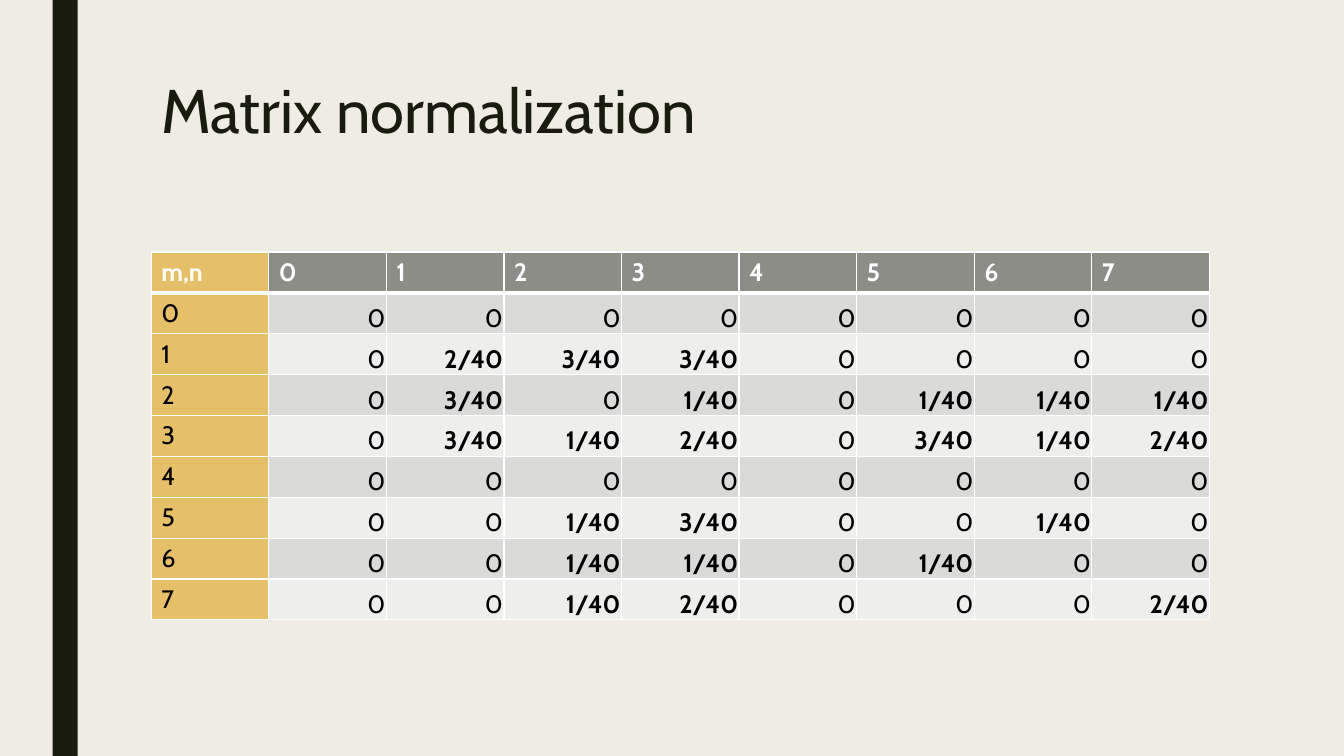
from lxml.etree import SubElement
from pptx import Presentation
from pptx.dml.color import RGBColor
from pptx.enum.shapes import MSO_SHAPE as Shape
from pptx.enum.text import MSO_ANCHOR as Anchor, PP_ALIGN as Align
from pptx.oxml.ns import qn
from pptx.util import Inches, Pt

BACKGROUND = RGBColor(0xEF, 0xED, 0xE3)
INK = RGBColor(0x19, 0x1B, 0x0E)
GOLD = RGBColor(0xE6, 0xC0, 0x69)
HEADER_GRAY = RGBColor(0x8C, 0x8D, 0x86)
DARK_BAND = RGBColor(0xDA, 0xDB, 0xD9)
LIGHT_BAND = RGBColor(0xEE, 0xEE, 0xED)
WHITE = RGBColor(0xFF, 0xFF, 0xFF)
BLACK = RGBColor(0x00, 0x00, 0x00)

FONT = "Cabin"
WIDTH, HEIGHT = Inches(13.33), Inches(7.5)
GRID_COLUMNS, GRID_ROWS = 160, 90

MATRIX = [row.split() for row in (
    "m,n 0 1 2 3 4 5 6 7",
    "0 0 0 0 0 0 0 0 0",
    "1 0 2/40 3/40 3/40 0 0 0 0",
    "2 0 3/40 0 1/40 0 1/40 1/40 1/40",
    "3 0 3/40 1/40 2/40 0 3/40 1/40 2/40",
    "4 0 0 0 0 0 0 0 0",
    "5 0 0 1/40 3/40 0 0 1/40 0",
    "6 0 0 1/40 1/40 0 1/40 0 0",
    "7 0 0 1/40 2/40 0 0 0 2/40",
)]


def place(column, row, columns, rows):
    return (round(WIDTH * column / GRID_COLUMNS), round(HEIGHT * row / GRID_ROWS),
            round(WIDTH * columns / GRID_COLUMNS), round(HEIGHT * rows / GRID_ROWS))


def add_run(paragraph, text, size, color, bold=False):
    run = paragraph.add_run()
    run.text = text
    run.font.name = FONT
    run.font.size = Pt(size)
    run.font.bold = bold
    run.font.color.rgb = color


def add_side_bar(slide):
    bar = slide.shapes.add_shape(Shape.RECTANGLE, *place(6.25, 0, 3, GRID_ROWS))
    bar.shadow.inherit = False
    bar.fill.solid()
    bar.fill.fore_color.rgb = INK
    bar.line.fill.background()


def add_title(slide, text):
    frame = slide.shapes.add_textbox(*place(18, 9, 126, 19.5)).text_frame
    frame.word_wrap = True
    paragraph = frame.paragraphs[0]
    paragraph.line_spacing = 0.89
    add_run(paragraph, text, 44, INK)


def add_borders(cell, top, bottom):
    properties = cell._tc.get_or_add_tcPr()
    for side, points in (("L", 1), ("R", 1), ("T", top), ("B", bottom)):
        border = SubElement(properties, qn(f"a:ln{side}"), w=str(Pt(points)))
        fill = SubElement(border, qn("a:solidFill"))
        SubElement(fill, qn("a:srgbClr"), val=str(WHITE))


def cell_fill(row, column):
    if column == 0:
        return GOLD
    if row == 0:
        return HEADER_GRAY
    return DARK_BAND if row % 2 else LIGHT_BAND


def fill_cell(cell, row, column, value):
    is_header = row == 0
    add_borders(cell, 3 if row == 1 else 1, 3 if is_header else 1)
    cell.fill.solid()
    cell.fill.fore_color.rgb = cell_fill(row, column)
    paragraph = cell.text_frame.paragraphs[0]
    if row and column:
        paragraph.alignment = Align.RIGHT
        cell.vertical_anchor = Anchor.BOTTOM
        cell.margin_left = cell.margin_right = cell.margin_top = Inches(0.01)
        cell.margin_bottom = 0
    add_run(paragraph, value, 18, WHITE if is_header else BLACK,
            is_header or "/" in value)


def add_matrix(slide, matrix):
    frame = slide.shapes.add_table(len(matrix), len(matrix[0]), *place(18, 30, 126, 43.8))
    table = frame.table
    table.first_row = table.horz_banding = False
    for row, values in enumerate(matrix):
        for column, value in enumerate(values):
            fill_cell(table.cell(row, column), row, column, value)


def main():
    deck = Presentation()
    deck.slide_width, deck.slide_height = WIDTH, HEIGHT
    slide = deck.slides.add_slide(deck.slide_layouts[6])
    slide.background.fill.solid()
    slide.background.fill.fore_color.rgb = BACKGROUND
    add_side_bar(slide)
    add_title(slide, "Matrix normalization")
    add_matrix(slide, MATRIX)
    deck.save("out.pptx")


if __name__ == "__main__":
    main()
